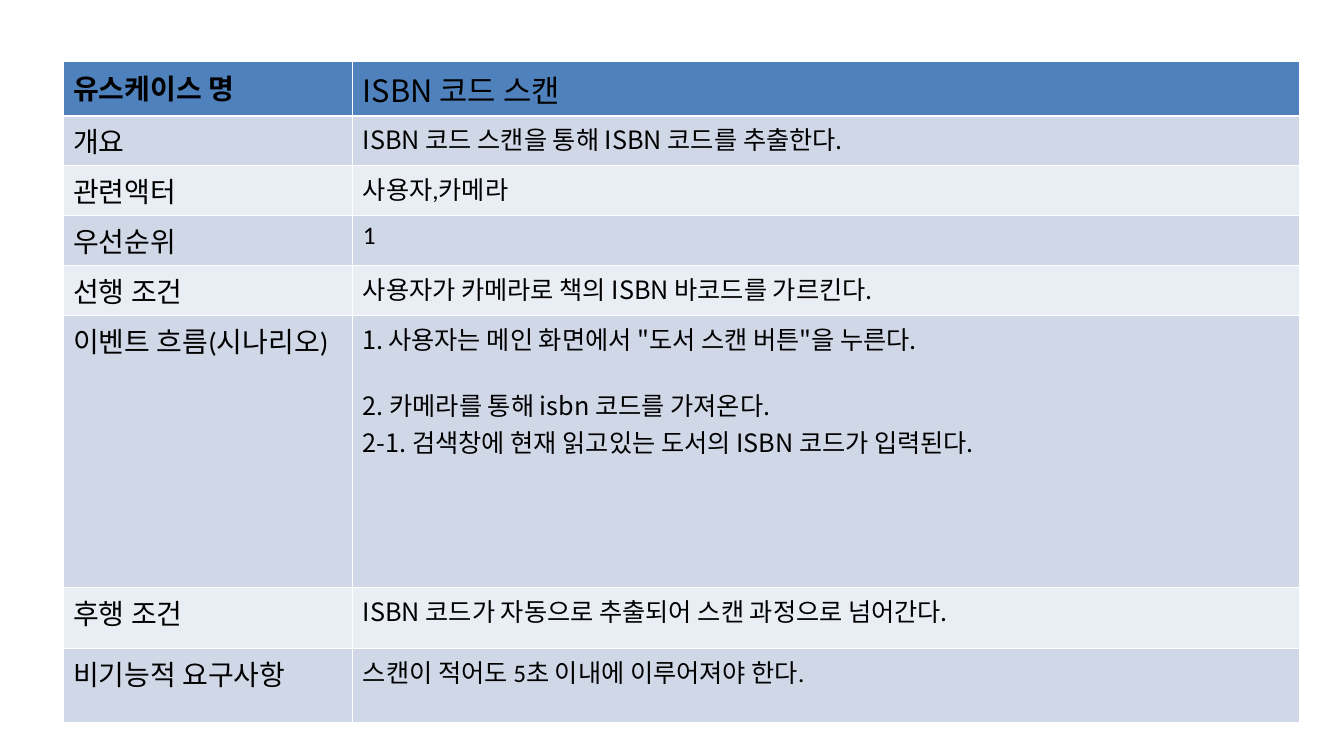
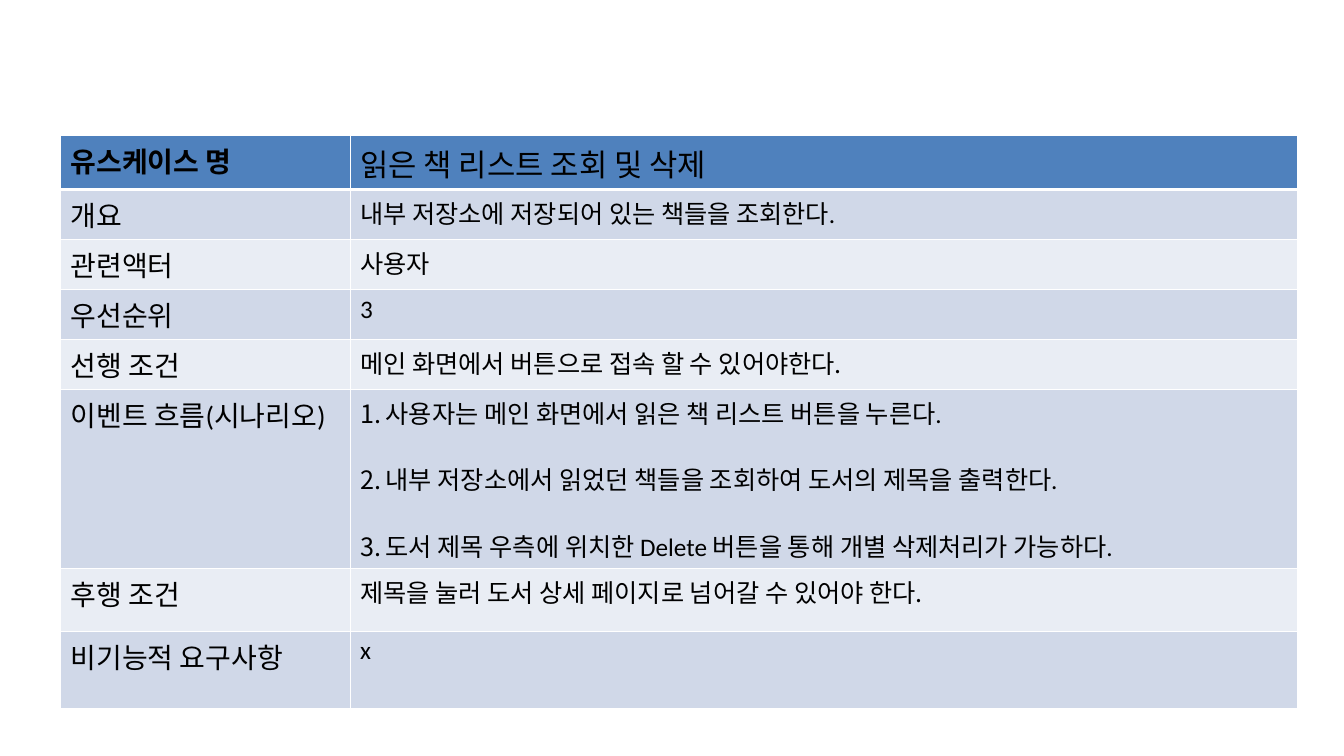
from lxml import etree
from pptx import Presentation
from pptx.dml.color import RGBColor
from pptx.oxml import ns
from pptx.util import Inches, Pt

BLACK = RGBColor(0x00, 0x00, 0x00)
HEADER = RGBColor(0x4F, 0x81, 0xBD)
BANDS = (RGBColor(0xD0, 0xD8, 0xE8), RGBColor(0xE9, 0xED, 0xF4))
BORDER = "FFFFFF"
LATIN, KOREAN = "Calibri", "Noto Sans CJK KR"
LABEL_SIZE, NAME_SIZE, VALUE_SIZE = 30, 33, 27
STEP_GAP = 32
COLUMNS = (4.31, 14.09)
LINE_ROW = 0.65

LABELS = ("유스케이스 명", "개요", "관련액터", "우선순위", "선행 조건",
          "이벤트 흐름(시나리오)", "후행 조건", "비기능적 요구사항")

# Each value is a font and its lines; a line is (text, numbered, gap after).
USE_CASES = [
    {
        "at": (0.94, 0.92),
        "rows": (0.72, *[LINE_ROW] * 4, 4.05, 0.9, 1.1),
        "values": [
            (KOREAN, "ISBN 코드 스캔"),
            (KOREAN, "ISBN 코드 스캔을 통해 ISBN 코드를 추출한다."),
            (LATIN, "사용자,카메라"),
            (LATIN, "1"),
            (KOREAN, "사용자가 카메라로 책의 ISBN 바코드를 가르킨다."),
            (KOREAN, [
                ("사용자는 메인 화면에서 \"도서 스캔 버튼\"을 누른다.", True, STEP_GAP),
                ("2. 카메라를 통해 isbn 코드를 가져온다.", False, 0),
                ("2-1. 검색창에 현재 읽고있는 도서의 ISBN 코드가 입력된다.", False, 0),
            ]),
            (KOREAN, "ISBN 코드가 자동으로 추출되어 스캔 과정으로 넘어간다."),
            (LATIN, "스캔이 적어도 5초 이내에 이루어져야 한다."),
        ],
    },
    {
        "at": (0.9, 2.02),
        "rows": (0.7, *[LINE_ROW] * 4, 2.4, 0.94, 1.14),
        "values": [
            (LATIN, "읽은 책 리스트 조회 및 삭제"),
            (LATIN, "내부 저장소에 저장되어 있는 책들을 조회한다."),
            (LATIN, "사용자"),
            (LATIN, "3"),
            (KOREAN, "메인 화면에서 버튼으로 접속 할 수 있어야한다."),
            (LATIN, [
                ("사용자는 메인 화면에서 읽은 책 리스트 버튼을 누른다.", True, STEP_GAP),
                ("내부 저장소에서 읽었던 책들을 조회하여 도서의 제목을 출력한다.", True, STEP_GAP),
                ("도서 제목 우측에 위치한 Delete 버튼을 통해 개별 삭제처리가 가능하다.", True, 0),
            ]),
            (KOREAN, "제목을 눌러 도서 상세 페이지로 넘어갈 수 있어야 한다."),
            (LATIN, "x"),
        ],
    },
]


def number(p):
    """Give the paragraph an automatic number with a hanging indent."""
    pPr = p._p.get_or_add_pPr()
    indent = Inches(0.38)
    pPr.set("marL", str(indent))
    pPr.set("indent", str(-indent))
    etree.SubElement(pPr, ns.qn("a:buAutoNum"), type="arabicPeriod")


def set_borders(cell, bottom):
    tcPr = cell._tc.get_or_add_tcPr()
    for side, width in (("L", 1), ("R", 1), ("T", 1), ("B", bottom)):
        ln = etree.SubElement(tcPr, ns.qn(f"a:ln{side}"), w=str(Pt(width)))
        fill = etree.SubElement(ln, ns.qn("a:solidFill"))
        etree.SubElement(fill, ns.qn("a:srgbClr"), val=BORDER)


def fill_cell(cell, content, font, size, row, bold=False):
    set_borders(cell, 1 if row else 3)
    cell.fill.solid()
    cell.fill.fore_color.rgb = BANDS[(row - 1) % 2] if row else HEADER
    cell.margin_left = cell.margin_right = Inches(0.15)
    cell.margin_top = cell.margin_bottom = Inches(0.07)

    lines = [(content, False, 0)] if isinstance(content, str) else content
    tf = cell.text_frame
    tf.text = "\n".join(line for line, _, _ in lines)
    for p, (_, numbered, gap) in zip(tf.paragraphs, lines):
        if numbered:
            number(p)
        if gap:
            p.space_after = Pt(gap)
        for r in p.runs:
            r.font.name = font
            r.font.size = Pt(size)
            r.font.bold = bold
            r.font.color.rgb = BLACK


def add_use_case(prs, case):
    s = prs.slides.add_slide(prs.slide_layouts[6])
    heights = case["rows"]
    left, top = case["at"]
    table = s.shapes.add_table(
        len(LABELS), len(COLUMNS), Inches(left), Inches(top),
        Inches(sum(COLUMNS)), Inches(sum(heights))).table
    for column, width in zip(table.columns, COLUMNS):
        column.width = Inches(width)
    for i, (label, (font, value)) in enumerate(zip(LABELS, case["values"])):
        table.rows[i].height = Inches(heights[i])
        fill_cell(table.cell(i, 0), label, LATIN, LABEL_SIZE, i, bold=i == 0)
        fill_cell(table.cell(i, 1), value, font, VALUE_SIZE if i else NAME_SIZE, i)


def main():
    prs = Presentation()
    prs.slide_width, prs.slide_height = Inches(20), Inches(11.25)
    for case in USE_CASES:
        add_use_case(prs, case)
    prs.save("out.pptx")


if __name__ == "__main__":
    main()
